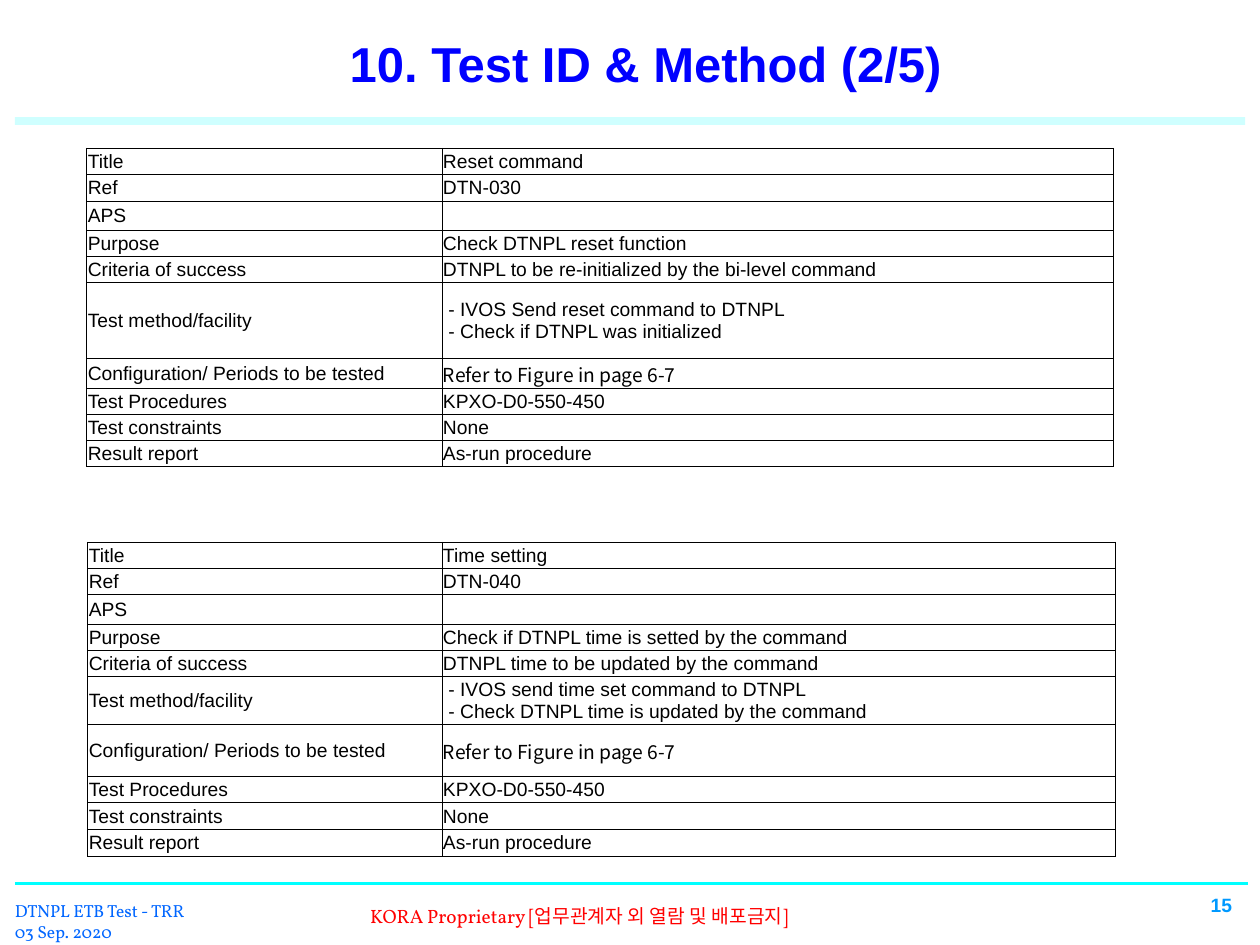
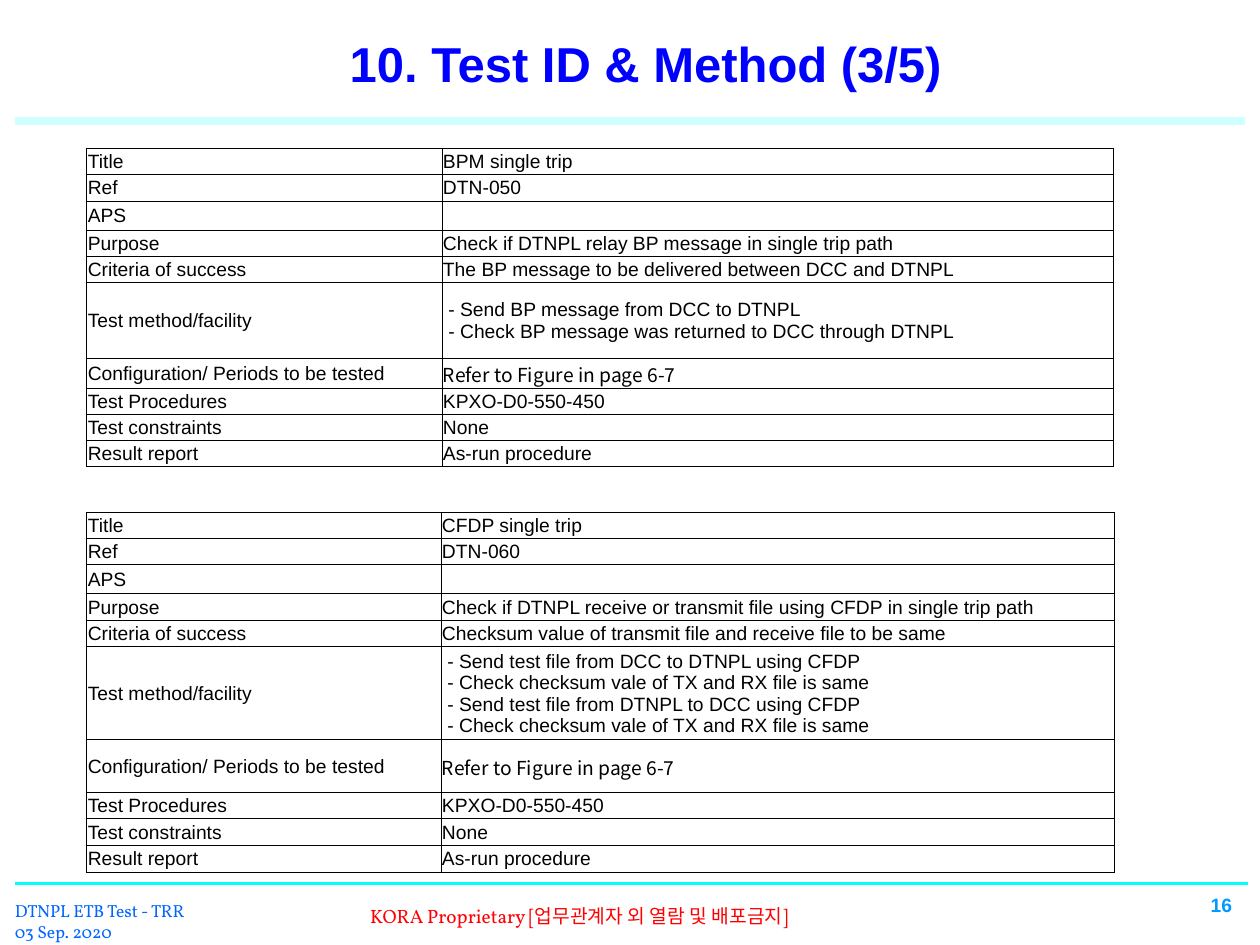
from lxml import etree
from pptx import Presentation
from pptx.dml.color import RGBColor
from pptx.enum.shapes import MSO_CONNECTOR
from pptx.enum.text import MSO_ANCHOR, PP_ALIGN
from pptx.oxml.ns import qn
from pptx.util import Cm, Pt

LINE = MSO_CONNECTOR.STRAIGHT
TOP, MIDDLE = MSO_ANCHOR.TOP, MSO_ANCHOR.MIDDLE
LEFT, CENTER, RIGHT = PP_ALIGN.LEFT, PP_ALIGN.CENTER, PP_ALIGN.RIGHT

HUES = {"title": "0000FF", "rule": "00FFFF", "date": "0066FF",
        "notice": "FF0000", "page": "0099FF", "ink": "000000"}
SANS, SERIF, KOREAN = "Arial", "Vollkorn", "Noto Sans CJK KR"

LABELS = ["Title", "Ref", "APS", "Purpose", "Criteria of success",
          "Test method/facility", "Configuration/ Periods to be tested",
          "Test Procedures", "Test constraints", "Result report"]
COMMON = ["Refer to Figure in page 6-7", "KPXO-D0-550-450", "None",
          "As-run procedure"]
ROW = 0.53  # height of a one-line row

# Each test: box (left, top), column widths, special row heights, values
UPPER = {"at": (1.75, 2.99), "cols": (7.16, 13.54),
         "tall": {2: 0.59, 5: 1.52, 6: 0.6}}
LOWER = {"cols": (7.14, 13.58), "tall": {2: 0.59, 5: 0.89, 6: 1.06, 9: 0.55}}

SLIDES = [
    ("10. Test ID & Method (2/5)", 15, [
        {**UPPER, "values": [
            "Reset command", "DTN-030", "", "Check DTNPL reset function",
            "DTNPL to be re-initialized by the bi-level command",
            " - IVOS Send reset command to DTNPL\n"
            " - Check if DTNPL was initialized"]},
        {**LOWER, "at": (1.77, 10.93), "values": [
            "Time setting", "DTN-040", "",
            "Check if DTNPL time is setted by the command",
            "DTNPL time to be updated by the command",
            " - IVOS send time set command to DTNPL\n"
            " - Check DTNPL time is updated by the command"]}]),
    ("10. Test ID & Method (3/5)", 16, [
        {**UPPER, "values": [
            "BPM single trip", "DTN-050", "",
            "Check if DTNPL relay BP message in single trip path",
            "The BP message to be delivered between DCC and DTNPL",
            " - Send BP message from DCC to DTNPL\n"
            " - Check BP message was returned to DCC through DTNPL"]},
        {**LOWER, "at": (1.75, 10.32),
         "tall": {**LOWER["tall"], 5: 1.76}, "values": [
            "CFDP single trip", "DTN-060", "",
            "Check if DTNPL receive or transmit file using CFDP in single trip path",
            "Checksum value of transmit file and receive file to be same",
            " - Send test file from DCC to DTNPL using CFDP\n"
            " - Check checksum vale of TX and RX file is same\n"
            " - Send test file from DTNPL to DCC using CFDP\n"
            " - Check checksum vale of TX and RX file is same"]}]),
]


def write(frame, text, size=11, font=SANS, hue="ink", bold=False,
          align=LEFT, space=None, indent=0, asian=None):
    """Fill a text frame, one paragraph per line of text."""
    for i, line in enumerate(text.split("\n")):
        para = frame.add_paragraph() if i else frame.paragraphs[0]
        para.alignment = align
        if space:
            para.line_spacing = space
        if indent:
            para._p.get_or_add_pPr().set("indent", str(Cm(indent)))
        if not line:  # keeps an empty cell low
            etree.SubElement(para._p, qn("a:endParaRPr"), sz=str(size * 100))
            continue
        run = para.add_run()
        run.text = line
        run.font.size, run.font.name, run.font.bold = Pt(size), font, bold
        run.font.color.rgb = RGBColor.from_string(HUES[hue])
        if asian:
            etree.SubElement(run._r.rPr, qn("a:ea"), typeface=asian)


def label(slide, box, text, anchor=TOP, wrap=True, **style):
    frame = slide.shapes.add_textbox(*map(Cm, box)).text_frame
    frame.word_wrap, frame.vertical_anchor = wrap, anchor
    write(frame, text, **style)


def rule(slide, left, right, y, width, alpha=None):
    line = slide.shapes.add_connector(LINE, *map(Cm, (left, y, right, y)))
    line.line.width = Pt(width)
    line.line.color.rgb = RGBColor.from_string(HUES["rule"])
    props = line._element.spPr
    if alpha:
        color = props.find(".//" + qn("a:srgbClr"))
        etree.SubElement(color, qn("a:alpha"), val=str(alpha * 1000))
    etree.SubElement(props, qn("a:effectLst"))


def border(cell):
    props = cell._tc.get_or_add_tcPr()
    for side in "LRTB":
        edge = etree.SubElement(props, qn("a:ln" + side), w=str(Pt(0.5)))
        fill = etree.SubElement(edge, qn("a:solidFill"))
        etree.SubElement(fill, qn("a:srgbClr"), val=HUES["ink"])


def header(slide, title):
    label(slide, (3.91, 0.33, 18.21, 2.01), title, anchor=MIDDLE, size=28,
          hue="title", bold=True, align=CENTER, space=0.9)
    rule(slide, 0.3, 25.1, 2.44, 4.5, alpha=18)


def footer(slide, page):
    rule(slide, 0.3, 25.15, 17.81, 1.5)
    label(slide, (0.05, 18.01, 4.22, 1.12), "DTNPL ETB Test - TRR\n03 Sep. 2020",
          wrap=False, size=10, font=SERIF, hue="date")
    label(slide, (5.89, 18.11, 15.8, 0.74),
          "KORA Proprietary [업무관계자 외 열람 및 배포금지]",
          font=SERIF, asian=KOREAN, hue="notice", indent=1.32)
    label(slide, (19.81, 17.83, 5.28, 0.89), str(page), anchor=MIDDLE,
          hue="page", bold=True, align=RIGHT, space=0.8)


def sheet(slide, at, cols, tall, values):
    """Two-column table of one test."""
    rows = [tall.get(i, ROW) for i in range(len(LABELS))]
    box = (*at, sum(cols), sum(rows))
    table = slide.shapes.add_table(len(rows), 2, *map(Cm, box)).table
    table.first_row = table.horz_banding = False
    for col, width in zip(table.columns, cols):
        col.width = Cm(width)
    for row, height, pair in zip(table.rows, rows, zip(LABELS, values + COMMON)):
        row.height = Cm(height)
        for cell, text in zip(row.cells, pair):
            cell.margin_left = cell.margin_right = cell.margin_top = Cm(0.02)
            cell.margin_bottom = 0
            cell.vertical_anchor = MIDDLE
            border(cell)
            cell.fill.background()
            write(cell.text_frame, text,
                  font=KOREAN if text == COMMON[0] else SANS)


def main():
    deck = Presentation()
    deck.slide_width, deck.slide_height = Cm(25.4), Cm(19.05)
    for title, page, tests in SLIDES:
        slide = deck.slides.add_slide(deck.slide_layouts[6])
        header(slide, title)
        for test in tests:
            sheet(slide, **test)
        footer(slide, page)
    deck.save("out.pptx")


if __name__ == "__main__":
    main()
